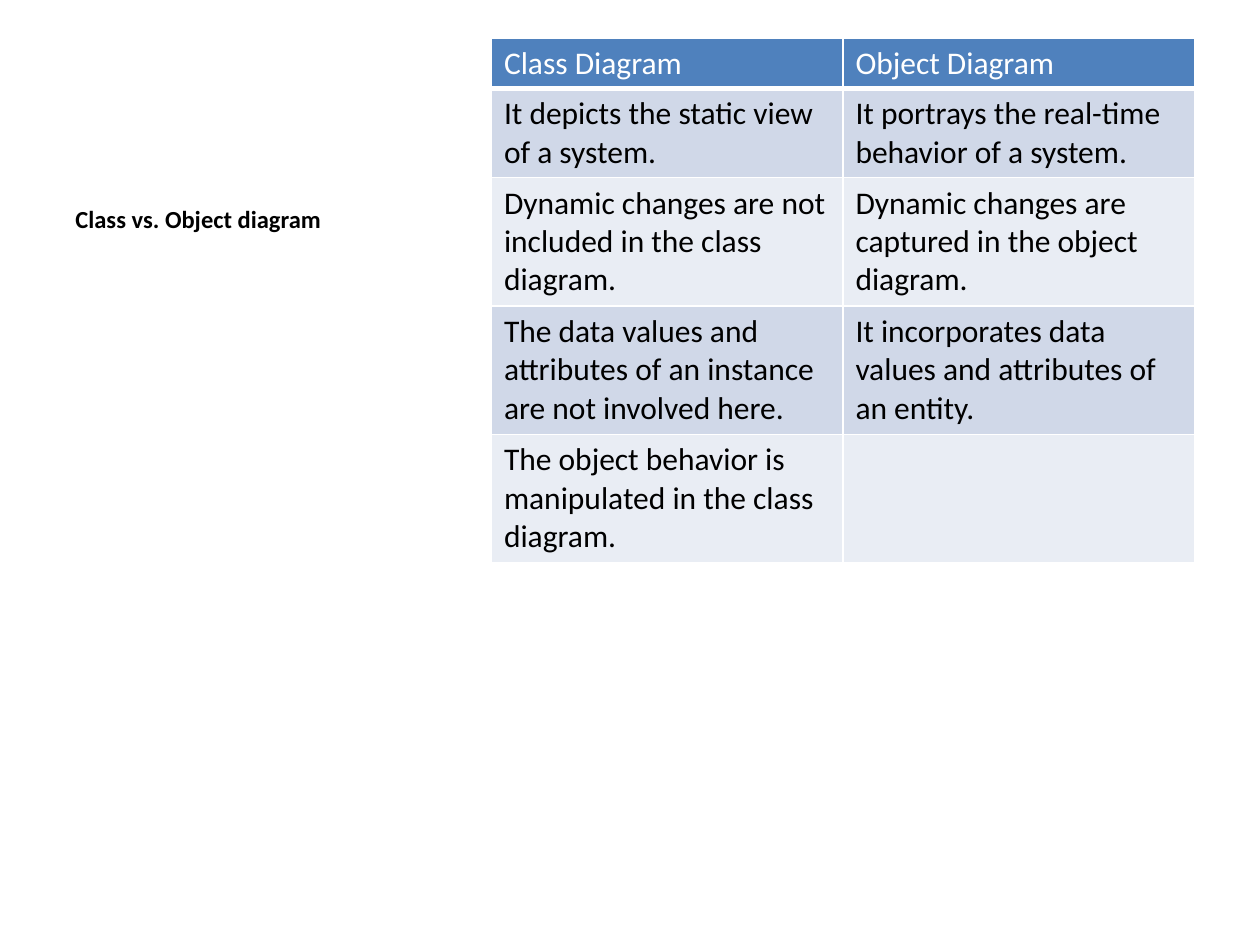
from lxml.etree import SubElement
from pptx import Presentation
from pptx.dml.color import RGBColor
from pptx.oxml.ns import qn
from pptx.util import Inches, Pt

FONT = "Calibri"
WHITE, BLACK, HEADER_BLUE = "FFFFFF", "000000", "4F81BD"
BAND_FILLS = ["D0D8E8", "E9EDF4"]
ROW_HEIGHTS = [0.4, 0.71, 1.02, 1.02, 1.02]
COMPARISON = [
    ("Class Diagram", "Object Diagram"),
    ("It depicts the static view of a system.",
     "It portrays the real-time behavior of a system."),
    ("Dynamic changes are not included in the class diagram.",
     "Dynamic changes are captured in the object diagram."),
    ("The data values and attributes of an instance are not involved here.",
     "It incorporates data values and attributes of an entity."),
    ("The object behavior is manipulated in the class diagram.", ""),
]


def color(value):
    return RGBColor.from_string(value)


def style_text(paragraph, size, text_color, bold=False):
    paragraph.font.name = FONT
    paragraph.font.size = Pt(size)
    paragraph.font.bold = bold
    paragraph.font.color.rgb = color(text_color)


def set_borders(cell, widths):
    properties = cell._tc.get_or_add_tcPr()
    for side, width in zip("LRTB", widths):
        line = SubElement(properties, qn(f"a:ln{side}"), w=str(Pt(width)))
        fill = SubElement(line, qn("a:solidFill"))
        SubElement(fill, qn("a:srgbClr"), val=WHITE)


def add_caption(slide, left, top, width, height):
    shape = slide.shapes.add_textbox(left, top, width, height)
    shape.text_frame.word_wrap = True
    paragraph = shape.text_frame.paragraphs[0]
    paragraph.text = "Class vs. Object diagram"
    style_text(paragraph, 14, BLACK, bold=True)


def add_comparison_table(slide, left, top, width, height):
    table = slide.shapes.add_table(
        len(COMPARISON), len(COMPARISON[0]), left, top, width, height).table
    for row_index, texts in enumerate(COMPARISON):
        table.rows[row_index].height = Inches(ROW_HEIGHTS[row_index])
        is_header = row_index == 0
        fill = HEADER_BLUE if is_header else BAND_FILLS[(row_index - 1) % 2]
        top_width = 3 if row_index == 1 else 1
        bottom_width = 3 if is_header else 1
        for column_index, text in enumerate(texts):
            cell = table.cell(row_index, column_index)
            cell.text = text
            set_borders(cell, [1, 1, top_width, bottom_width])
            cell.fill.solid()
            cell.fill.fore_color.rgb = color(fill)
            style_text(cell.text_frame.paragraphs[0], 18,
                       WHITE if is_header else BLACK)


def main():
    presentation = Presentation()
    presentation.slide_width = Inches(10)
    presentation.slide_height = Inches(7.5)
    slide = presentation.slides.add_slide(presentation.slide_layouts[6])
    add_caption(slide, Inches(0.5), Inches(1.57), Inches(3.29), Inches(5.13))
    add_comparison_table(slide, Inches(3.9), Inches(0.3), Inches(5.58),
                         Inches(sum(ROW_HEIGHTS)))
    presentation.save("out.pptx")


if __name__ == "__main__":
    main()
